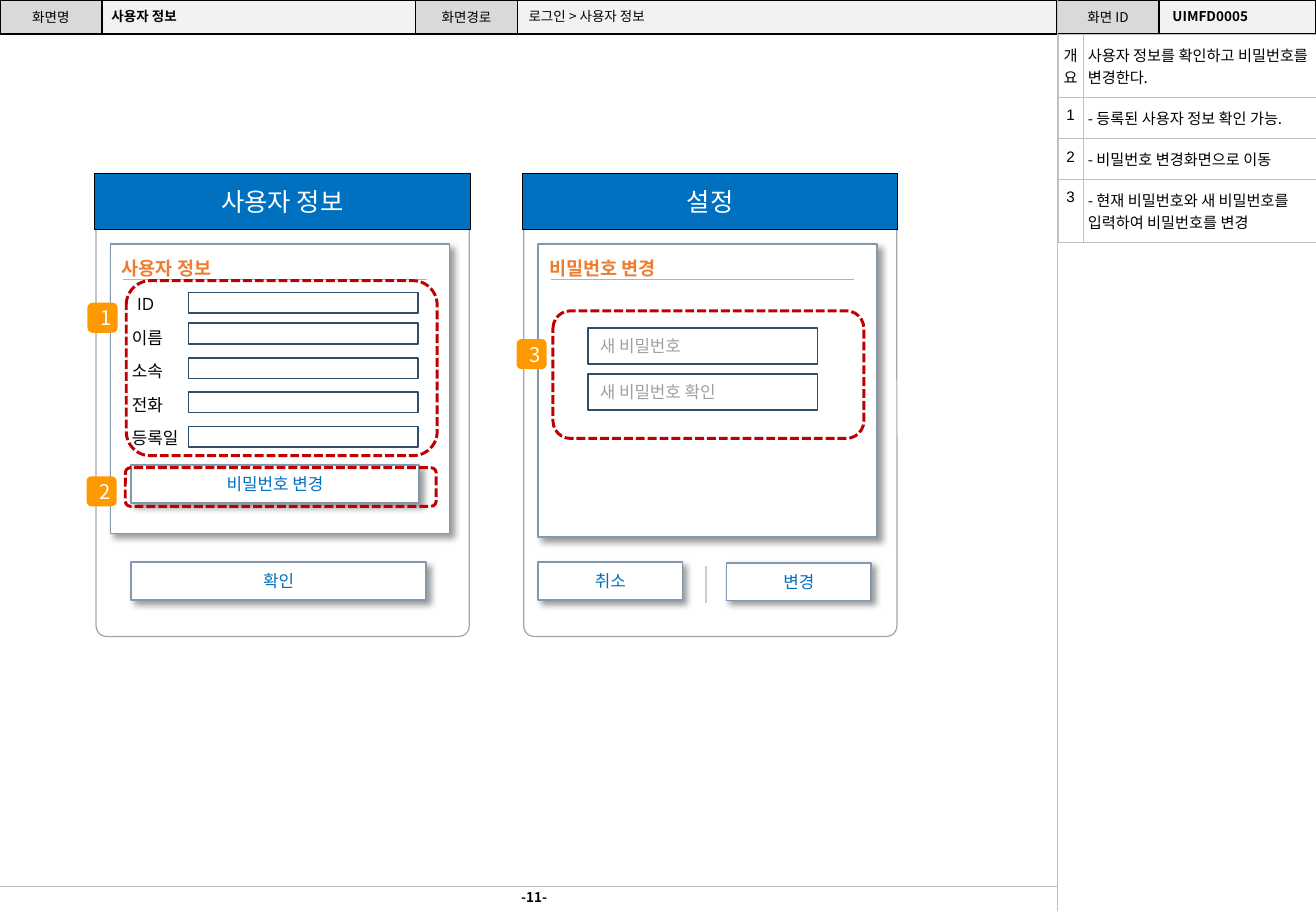
from pptx import Presentation
from pptx.dml.color import RGBColor
from pptx.enum.dml import MSO_LINE
from pptx.enum.shapes import MSO_CONNECTOR, MSO_SHAPE
from pptx.enum.text import MSO_ANCHOR, PP_ALIGN
from pptx.oxml import parse_xml
from pptx.oxml.ns import nsdecls
from pptx.util import Cm, Pt

RECT, ROUND = MSO_SHAPE.RECTANGLE, MSO_SHAPE.ROUNDED_RECTANGLE
LEFT, CENTER = PP_ALIGN.LEFT, PP_ALIGN.CENTER
TOP, MIDDLE = MSO_ANCHOR.TOP, MSO_ANCHOR.MIDDLE
KOREAN = "Noto Sans CJK KR"
BLUE, BORDER, NAVY, SLATE = "0070C0", "BFBFBF", "2D4D6A", "8497B0"
SHADOW = (f'<a:effectLst {nsdecls("a")}><a:outerShdw blurRad="50800" dist="38100" '
          'dir="2700000" algn="tl" rotWithShape="0"><a:srgbClr val="000000">'
          '<a:alpha val="40000"/></a:srgbClr></a:outerShdw></a:effectLst>')

prs = Presentation()
prs.slide_width, prs.slide_height = Cm(27.51), Cm(19.05)
slide = prs.slides.add_slide(prs.slide_layouts[6])
shapes = slide.shapes


def put_text(frame, text, size=10, color="000000", font=KOREAN, bold=False,
             align=LEFT, anchor=MIDDLE, insets=(0.25, 0.13, 0.25, 0.13), spacing=None):
    """Write one paragraph; insets run left, top, right, bottom in cm."""
    frame.word_wrap = True
    frame.vertical_anchor = anchor
    (frame.margin_left, frame.margin_top,
     frame.margin_right, frame.margin_bottom) = [Cm(inset) for inset in insets]
    paragraph = frame.paragraphs[0]
    paragraph.alignment = align
    paragraph.line_spacing = spacing
    run = paragraph.add_run()
    run.text = text
    run.font.size, run.font.bold, run.font.name = Pt(size), bold, font
    run.font.color.rgb = RGBColor.from_string(color)
    run.font._element.find("{*}latin").addnext(
        parse_xml(f'<a:ea {nsdecls("a")} typeface="{KOREAN}"/>'))


def draw(kind, box, fill=None, line=None, width=1, radius=None, shadow=False):
    """Add a line (kind None, box is x1 y1 x2 y2) or a shape (box is x y w h)."""
    lengths = [Cm(value) for value in box]
    if kind is None:
        item = shapes.add_connector(MSO_CONNECTOR.STRAIGHT, *lengths)
        item._element.spPr.append(parse_xml(f'<a:effectLst {nsdecls("a")}/>'))
    else:
        item = shapes.add_shape(kind, *lengths)
        item.shadow.inherit = False
        if radius is not None:
            item.adjustments[0] = radius
        if fill:
            item.fill.solid()
            item.fill.fore_color.rgb = RGBColor.from_string(fill)
        else:
            item.fill.background()
    if line:
        item.line.color.rgb = RGBColor.from_string(line)
        item.line.width = Pt(width)
    else:
        item.line.fill.background()
    if shadow:
        effects = item._element.spPr.find("{*}effectLst")
        effects.getparent().replace(effects, parse_xml(SHADOW))
    return item


# Header bar
draw(RECT, (0, 0, 27.51, 0.71), "F2F2F2", "000000")
for left, label in [(8.69, "화면경로"), (22.1, "화면 ID"), (0, "화면명")]:
    header_label = draw(RECT, (left, 0, 2.13, 0.71), "D9D9D9", "000000")
    put_text(header_label.text_frame, label, size=8, align=CENTER, insets=(0, 0.13, 0, 0.13))
for left, width, value, bold in [(2.13, 6, "사용자 정보", True),
                                 (10.85, 11, "로그인 > 사용자 정보", False),
                                 (24.31, 3, "UIMFD0005", True)]:
    header_value = shapes.add_textbox(Cm(left), Cm(0.1), Cm(width), Cm(0.5))
    put_text(header_value.text_frame, value, size=8, bold=bold,
             insets=(0.2, 0, 0.1, 0), spacing=0.9)

# Page frame and number
draw(None, (0, 18.54, 22.1, 18.54), line=BORDER, width=0.5)
draw(None, (22.1, 0, 22.1, 19.05), line=BORDER, width=0.5)
page_number = shapes.add_textbox(Cm(10.62), Cm(18.47), Cm(1.09), Cm(0.58))
put_text(page_number.text_frame, "-11-", size=8, bold=True, align=CENTER,
         anchor=TOP, insets=(0, 0.13, 0, 0.13))

# Description table
descriptions = [
    ("개요", "사용자 정보를 확인하고 비밀번호를 변경한다.", 1.32),
    ("1", "- 등록된 사용자 정보 확인 가능.", 0.87),
    ("2", "- 비밀번호 변경화면으로 이동", 0.85),
    ("3", "- 현재 비밀번호와 새 비밀번호를 입력하여 비밀번호를 변경", 1.32),
]
table = shapes.add_table(len(descriptions), 2, Cm(22.12), Cm(0.71), Cm(5.39), Cm(4.36)).table
table.first_row = table.horz_banding = False
table.columns[0].width, table.columns[1].width = Cm(0.52), Cm(4.87)
for row, (key, description, height) in enumerate(descriptions):
    table.rows[row].height = Cm(height)
    for column, text in enumerate((key, description)):
        cell = table.cell(row, column)
        side = 0.1 * column
        put_text(cell.text_frame, text, size=9, font=KOREAN if column else "Arial",
                 align=LEFT if column else CENTER)
        cell.vertical_anchor = TOP
        cell.margin_left = cell.margin_right = Cm(side)
        cell.margin_top = cell.margin_bottom = Cm(0.2)
        properties = cell._tc.get_or_add_tcPr()
        for edge in ("lnL", "lnR", "lnT", "lnB"):
            properties.append(parse_xml(
                f'<a:{edge} {nsdecls("a")} w="6350"><a:solidFill>'
                f'<a:srgbClr val="{BORDER}"/></a:solidFill></a:{edge}>'))
        cell.fill.background()

# Two phone screens
SCREEN_STEP = 8.94
for screen, (title, heading, panel_height) in enumerate(
        [("사용자 정보", "사용자 정보", 6.05), ("설정", "비밀번호 변경", 6.12)]):
    shift = screen * SCREEN_STEP
    draw(ROUND, (2.01 + shift, 3.63, 7.8, 9.68), "FFFFFF", "A6A6A6", 0.75, radius=0.028)
    draw(RECT, (2.31 + shift, 5.11, 7.09, panel_height), "FFFFFF", SLATE, shadow=True)
    section = shapes.add_textbox(Cm(2.44 + shift), Cm(5.26), Cm(2.59), Cm(0.61))
    put_text(section.text_frame, heading, size=11, color="ED7D31", bold=True,
             insets=(0.1, 0.1, 0.03, 0.03))
    draw(None, (2.58 + shift, 5.84, 8.92 + shift, 5.84), line="B2B2B2", width=0.5)
    title_bar = draw(RECT, (1.98 + shift, 3.63, 7.85, 1.17), BLUE, "000000", 0.5)
    put_text(title_bar.text_frame, title, size=15, color="FFFFFF", align=CENTER)

# User information fields
for row, (label, label_left, field_top) in enumerate(
        [("ID", 2.62, 6.12), ("이름", 2.51, 6.76), ("소속", 2.51, 7.49),
         ("전화", 2.51, 8.2), ("등록일", 2.51, 8.92)]):
    field_label = shapes.add_textbox(Cm(label_left), Cm(5.99 + 0.7 * row), Cm(1.8), Cm(0.74))
    put_text(field_label.text_frame, label, font="Open Sans")
    draw(RECT, (3.94, field_top, 4.8, 0.43), "FFFFFF", NAVY)

# New password fields
for top, prompt in [(6.86, "새 비밀번호"), (7.82, "새 비밀번호 확인")]:
    password = draw(RECT, (12.29, top, 4.8, 0.76), "FFFFFF", NAVY)
    put_text(password.text_frame, prompt, color="A39F9F")

# Buttons
for left, top, width, caption in [(2.74, 9.73, 6.02, "비밀번호 변경"),
                                  (2.74, 11.76, 6.17, "확인"),
                                  (11.25, 11.76, 3.02, "취소"),
                                  (15.19, 11.77, 3.02, "변경")]:
    button = draw(RECT, (left, top, width, 0.79), "FFFFFF", SLATE, shadow=True)
    put_text(button.text_frame, caption, color=BLUE, align=CENTER)
draw(None, (14.76, 11.84, 14.76, 12.6), line="CCCCCC", width=1.5)

# Numbered callouts
for number, area, left, top in [("1", (2.64, 5.87, 6.5, 3.66), 1.83, 6.33),
                                ("2", (2.62, 9.78, 6.5, 0.81), 1.81, 9.96),
                                ("3", (11.56, 6.5, 6.5, 2.67), 10.8, 7.09)]:
    outline = draw(ROUND, area, line="C00000", width=1.75, radius=0.138)
    outline.line.dash_style = MSO_LINE.SQUARE_DOT
    badge = draw(ROUND, (left, top, 0.63, 0.63), "FF9900", radius=0.167)
    put_text(badge.text_frame, number, size=12, color="FFFFFF", align=CENTER)

prs.save("out.pptx")
